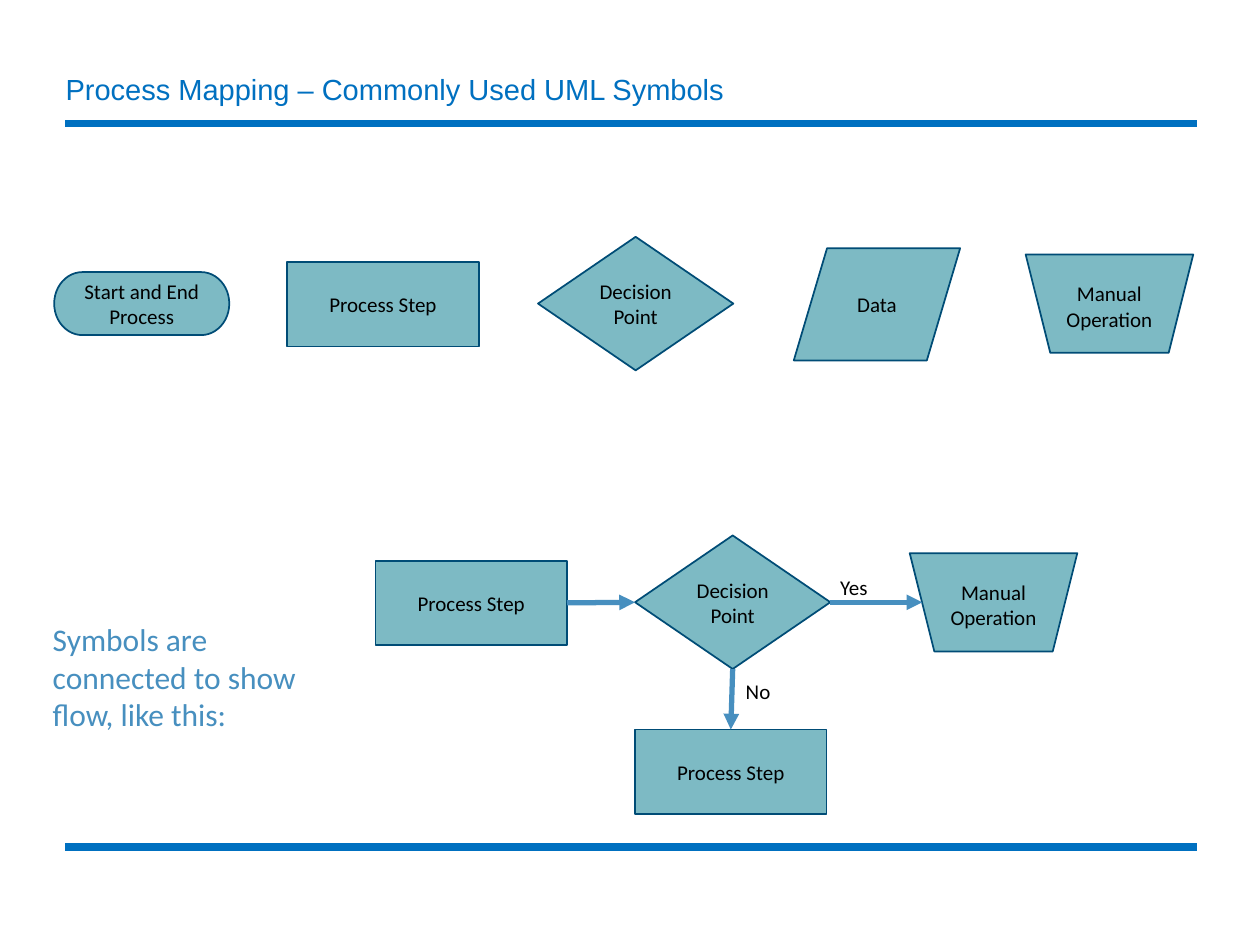
import pptx
import pptx.dml.color
import pptx.enum.shapes
import pptx.enum.text
import pptx.oxml
import pptx.util
from pptx.util import Inches

SHAPE = pptx.enum.shapes.MSO_SHAPE
STRAIGHT = pptx.enum.shapes.MSO_CONNECTOR.STRAIGHT
ALIGN = pptx.enum.text.PP_ALIGN
ANCHOR = pptx.enum.text.MSO_ANCHOR
AUTO_SIZE = pptx.enum.text.MSO_AUTO_SIZE

RULE_BLUE = "0070C0"
FLOW_BLUE = "478FBF"
SYMBOL_FILL = "7DBAC4"
SYMBOL_EDGE = "004C76"
BLACK = "000000"


def rgb(hex_code):
    return pptx.dml.color.RGBColor.from_string(hex_code)


def write(frame, text, size=12, color=BLACK, font="Calibri", align=ALIGN.LEFT):
    """Put one formatted run in a wrapping text frame."""
    frame.word_wrap = True
    paragraph = frame.paragraphs[0]
    paragraph.alignment = align
    run = paragraph.add_run()
    run.text = text
    run.font.name = font
    run.font.size = pptx.util.Pt(size)
    run.font.color.rgb = rgb(color)


prs = pptx.Presentation()
prs.slide_width, prs.slide_height = Inches(10), Inches(7.5)
slide = prs.slides.add_slide(prs.slide_layouts[5])

# Title
title = slide.shapes.title
title.left, title.top = Inches(0.52), Inches(0.59)
title.width, title.height = Inches(9), Inches(0.3)
title_frame = title.text_frame
title_frame.auto_size = AUTO_SIZE.NONE
title_frame.vertical_anchor = ANCHOR.MIDDLE
title_frame.margin_left = title_frame.margin_right = 0
write(title_frame, "Process Mapping – Commonly Used UML Symbols", 16.6, RULE_BLUE, "Arial")
title_frame.paragraphs[0].line_spacing = 0.7

# Symbols: the row of five, then the sample flow
symbol_kinds = {
    "Start and End Process": (SHAPE.FLOWCHART_TERMINATOR, 1.39, 0.5),
    "Process Step": (SHAPE.FLOWCHART_PROCESS, 1.52, 0.67),
    "Decision Point": (SHAPE.FLOWCHART_DECISION, 1.55, 1.06),
    "Data": (SHAPE.FLOWCHART_DATA, 1.32, 0.89),
    "Manual Operation": (SHAPE.TRAPEZOID, 1.33, 0.78),
}
placements = [
    ("Start and End Process", 0.43, 2.16),
    ("Process Step", 2.28, 2.08),
    ("Decision Point", 4.27, 1.88),
    ("Data", 6.3, 1.97),
    ("Manual Operation", 8.14, 2.02),
    ("Process Step", 2.98, 4.45),
    ("Decision Point", 5.04, 4.25),
    ("Manual Operation", 7.22, 4.39),
    ("Process Step", 5.04, 5.79),
]
symbols = []
for label, left, top in placements:
    preset, width, height = symbol_kinds[label]
    symbol = slide.shapes.add_shape(
        preset, Inches(left), Inches(top), Inches(width), Inches(height))
    symbol.shadow.inherit = False
    symbol.fill.solid()
    symbol.fill.fore_color.rgb = rgb(SYMBOL_FILL)
    symbol.line.color.rgb = rgb(SYMBOL_EDGE)
    symbol.line.width = pptx.util.Pt(1)
    symbols.append(symbol)
    frame = symbol.text_frame
    if preset == SHAPE.TRAPEZOID:
        # The trapezoid is turned over, so its label stands in an upright box
        symbol.rotation = 180
        symbol.adjustments[0] = 0.25
        frame = slide.shapes.add_textbox(
            Inches(left), Inches(top + 0.16), Inches(width), Inches(0.5)).text_frame
    else:
        frame.vertical_anchor = ANCHOR.MIDDLE
    write(frame, label, align=ALIGN.CENTER)

# Notes beside the flow
for text, left, top, width, height, size, color in [
    ("Symbols are connected to show flow, like this:", 0.32, 4.87, 2.15, 1.01, 18, FLOW_BLUE),
    ("Yes", 6.57, 4.51, 0.59, 0.3, 12, BLACK),
    ("No", 5.82, 5.34, 0.42, 0.3, 12, BLACK),
]:
    note = slide.shapes.add_textbox(
        Inches(left), Inches(top), Inches(width), Inches(height))
    write(note.text_frame, text, size, color)

# Rules across the page and arrows of the flow
first_step, decision, manual, last_step = symbols[5:]
TOP, LEFT, BOTTOM, RIGHT = range(4)
for x1, y1, x2, y2, color, weight, start, end in [
    (0.52, 0.98, 9.5, 0.98, RULE_BLUE, 4.5, None, None),
    (0.52, 6.72, 9.5, 6.72, RULE_BLUE, 4.5, None, None),
    (4.5, 4.78, 5.04, 4.78, FLOW_BLUE, 3, (first_step, RIGHT), (decision, LEFT)),
    (6.59, 4.78, 7.32, 4.78, FLOW_BLUE, 3, (decision, RIGHT), None),
    (5.82, 5.31, 5.8, 5.79, FLOW_BLUE, 3, (decision, BOTTOM), (last_step, TOP)),
]:
    line = slide.shapes.add_connector(
        STRAIGHT, Inches(x1), Inches(y1), Inches(x2), Inches(y2))
    line.line.color.rgb = rgb(color)
    line.line.width = pptx.util.Pt(weight)
    if start:
        line.begin_connect(*start)
        arrowhead = pptx.oxml.parse_xml(
            '<a:tailEnd xmlns:a="http://schemas.openxmlformats.org/drawingml/2006/main"'
            ' type="triangle"/>')
        line.line._get_or_add_ln().append(arrowhead)
    if end:
        line.end_connect(*end)
    line._element.spPr.append(pptx.oxml.parse_xml(
        '<a:effectLst xmlns:a="http://schemas.openxmlformats.org/drawingml/2006/main"/>'))

prs.save("out.pptx")
